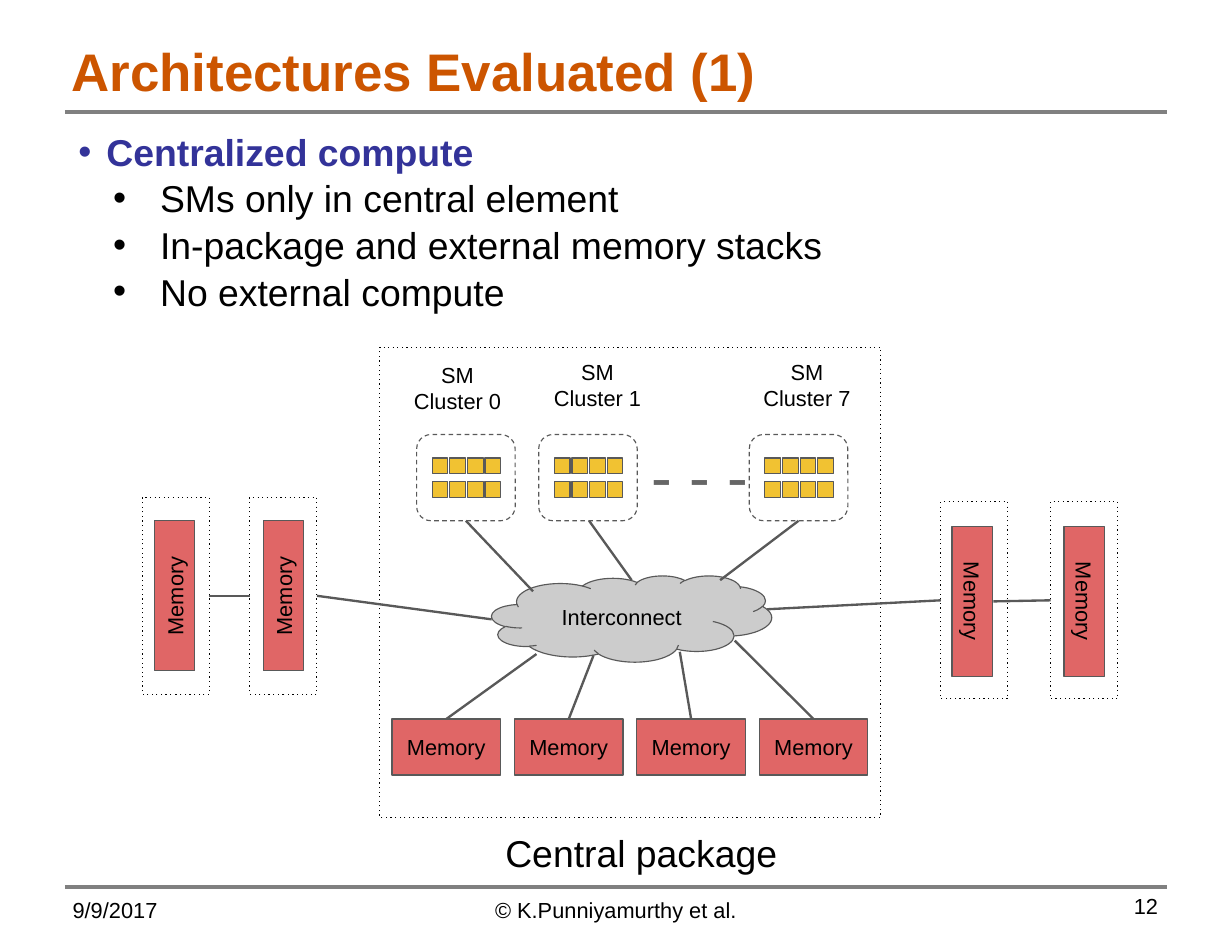
import pptx
import pptx.util
import pptx.dml.color
import pptx.enum.shapes
import pptx.enum.text
import pptx.oxml.ns
import lxml.etree

COLS, ROWS = 110, 85
SLIDE_W, SLIDE_H = pptx.util.Inches(11), pptx.util.Inches(8.5)
COLORS = {
    "title": "CC5500", "heading": "333399", "text": "000000", "rule": "808080",
    "edge": "595959", "dashes": "666666", "memory": "E06666", "core": "F1C232",
    "cloud": "CCCCCC",
}
SHAPE = pptx.enum.shapes.MSO_SHAPE
ALIGN = pptx.enum.text.PP_ALIGN
ANCHOR = pptx.enum.text.MSO_ANCHOR


def col(n):
    return round(SLIDE_W * n / COLS)


def row(n):
    return round(SLIDE_H * n / ROWS)


def color(name):
    return pptx.dml.color.RGBColor.from_string(COLORS[name])


def add_xml(parent, tag, **attrs):
    el = lxml.etree.SubElement(parent, pptx.oxml.ns.qn(tag))
    for key, value in attrs.items():
        el.set(key, str(value))
    return el


def set_text(s, text, size=14, name="text", bold=False, align=ALIGN.CENTER,
             anchor=ANCHOR.TOP, inset=(1, 1)):
    tf = s.text_frame
    tf.text = text
    tf.word_wrap = True
    tf.vertical_anchor = anchor
    tf.margin_left = tf.margin_right = col(inset[0])
    tf.margin_top = tf.margin_bottom = row(inset[1])
    for p in tf.paragraphs:
        p.alignment = align
        for r in p.runs:
            r.font.name = "Arial"
            r.font.size = pptx.util.Pt(size)
            r.font.bold = bold
            r.font.color.rgb = color(name)
    return tf


def add_label(sp, x, y, w, h, text, **style):
    return set_text(sp.add_textbox(col(x), row(y), col(w), row(h)), text, **style)


def add_box(sp, kind, x, y, w, h, fill=None, edge="edge", dash=None, text=None):
    s = sp.add_shape(kind, col(x), row(y), col(w), row(h))
    s.shadow.inherit = False
    if fill:
        s.fill.solid()
        s.fill.fore_color.rgb = color(fill)
    else:
        s.fill.background()
    s.line.color.rgb = color(edge)
    s.line.width = pptx.util.Pt(0.75)
    if dash:
        ln = s.element.spPr.find(pptx.oxml.ns.qn("a:ln"))
        add_xml(ln, "a:prstDash", val=dash)
    if text:
        set_text(s, text, anchor=ANCHOR.MIDDLE)
    return s


def add_link(sp, x1, y1, x2, y2, name="edge", width=1.5):
    s = sp.add_connector(pptx.enum.shapes.MSO_CONNECTOR.STRAIGHT,
                         col(x1), row(y1), col(x2), row(y2))
    s.line.color.rgb = color(name)
    s.line.width = pptx.util.Pt(width)
    add_xml(s.element.spPr, "a:effectLst")


def add_frame(sp, x, y, w, h):
    add_box(sp, SHAPE.RECTANGLE, x, y, w, h, edge="text", dash="dot")


def add_cluster(sp, x, label_x, label_y, label):
    add_box(sp, SHAPE.ROUNDED_RECTANGLE, x, 38.8, 8.8, 7.7, dash="dash")
    for j in range(2):
        for i in range(4):
            add_box(sp, SHAPE.RECTANGLE, x + 1.4 + 1.57 * i, 40.9 + 2.1 * j,
                    1.4, 1.4, fill="core")
    add_label(sp, label_x, label_y, 12.9, 4, label)


def add_stack(sp, frame_x, frame_y, memory_x, memory_y, angle):
    add_frame(sp, frame_x, frame_y, 6, 17.6)
    s = add_box(sp, SHAPE.RECTANGLE, memory_x, memory_y, 13.4, 3.6,
                fill="memory", text="Memory")
    s.rotation = angle


def add_bullets(sp):
    lines = ["Centralized compute", "SMs only in central element",
             "In-package and external memory stacks", "No external compute"]
    tf = add_label(sp, 4.2, 10.9, 102.7, 19, "\n".join(lines), size=24,
                   align=ALIGN.LEFT, inset=(1.1, 0.6))
    for i, p in enumerate(tf.paragraphs):
        name, left, hang = ("text", 9, 4.2) if i else ("heading", 4.2, 2.5)
        p.level = min(i, 1)
        p.space_before = pptx.util.Pt(1.2)
        p.runs[0].font.bold = i == 0
        p.runs[0].font.color.rgb = color(name)
        pPr = p._p.get_or_add_pPr()
        pPr.set("marL", str(col(left)))
        pPr.set("indent", str(-col(hang)))
        add_xml(add_xml(pPr, "a:buClr"), "a:srgbClr", val=COLORS[name])
        add_xml(pPr, "a:buFont", typeface="Arial")
        add_xml(pPr, "a:buChar", char="•")


def add_package(sp):
    add_frame(sp, 33.9, 31, 44.7, 42)
    add_cluster(sp, 37.2, 34.4, 31.3, "SM\nCluster 0")
    add_cluster(sp, 48.1, 46.9, 31, "SM\nCluster 1")
    add_cluster(sp, 66.9, 65.6, 31, "SM\nCluster 7")
    add_label(sp, 57.2, 38, 11.7, 12.5, "- - -", size=40, name="dashes",
              align=ALIGN.LEFT)
    add_box(sp, SHAPE.CLOUD, 43.9, 51.4, 25, 7.7, fill="cloud", text="Interconnect")
    for x, end_x, end_y in [(41.6, 47.6, 52.8), (52.6, 56.4, 51.8), (71.3, 64.3, 51.8)]:
        add_link(sp, x, 46.5, end_x, end_y)
    for i, (x, y) in enumerate([(47.9, 58.4), (53, 58.5), (60.7, 58.2), (65.6, 57.2)]):
        left = 35 + 10.93 * i
        add_box(sp, SHAPE.RECTANGLE, left, 64.2, 9.7, 5, fill="memory", text="Memory")
        add_link(sp, x, y, left + 4.85, 64.2)
    add_label(sp, 41.7, 73.1, 31.1, 2.9, "Central package", size=24)


def add_external_memory(sp):
    for frame_x, memory_x in [(12.7, 8.9), (22.3, 18.6)]:
        add_stack(sp, frame_x, 44.4, memory_x, 51.4, 270)
    for frame_x, memory_x in [(84, 80.1), (93.8, 90.1)]:
        add_stack(sp, frame_x, 44.8, memory_x, 51.9, 90)
    add_link(sp, 22.3, 53.2, 18.7, 53.2)
    add_link(sp, 43.9, 55.3, 28.3, 53.2)
    add_link(sp, 68.5, 54.4, 84, 53.6)
    add_link(sp, 88.7, 53.7, 93.8, 53.6)


def add_footer(sp):
    add_label(sp, 5.5, 79.1, 25.7, 4.2, "9/9/2017", align=ALIGN.LEFT)
    add_label(sp, 37.6, 79.1, 34.8, 4.2, "© K.Punniyamurthy et al.")
    add_label(sp, 78.8, 79.1, 25.7, 4.2, "12", align=ALIGN.RIGHT, inset=(1.1, 0.6))


def main():
    prs = pptx.Presentation()
    prs.slide_width, prs.slide_height = SLIDE_W, SLIDE_H
    sp = prs.slides.add_slide(prs.slide_layouts[6]).shapes
    for y in (10, 79.2):
        add_link(sp, 5.8, y, 104.2, y, name="rule", width=2.25)
    add_label(sp, 5.3, 2.5, 98.3, 7.5, "Architectures Evaluated (1)", size=34,
              name="title", bold=True, align=ALIGN.LEFT, anchor=ANCHOR.MIDDLE,
              inset=(1.1, 0.6))
    add_package(sp)
    add_external_memory(sp)
    add_bullets(sp)
    add_footer(sp)
    prs.save("out.pptx")


if __name__ == "__main__":
    main()
